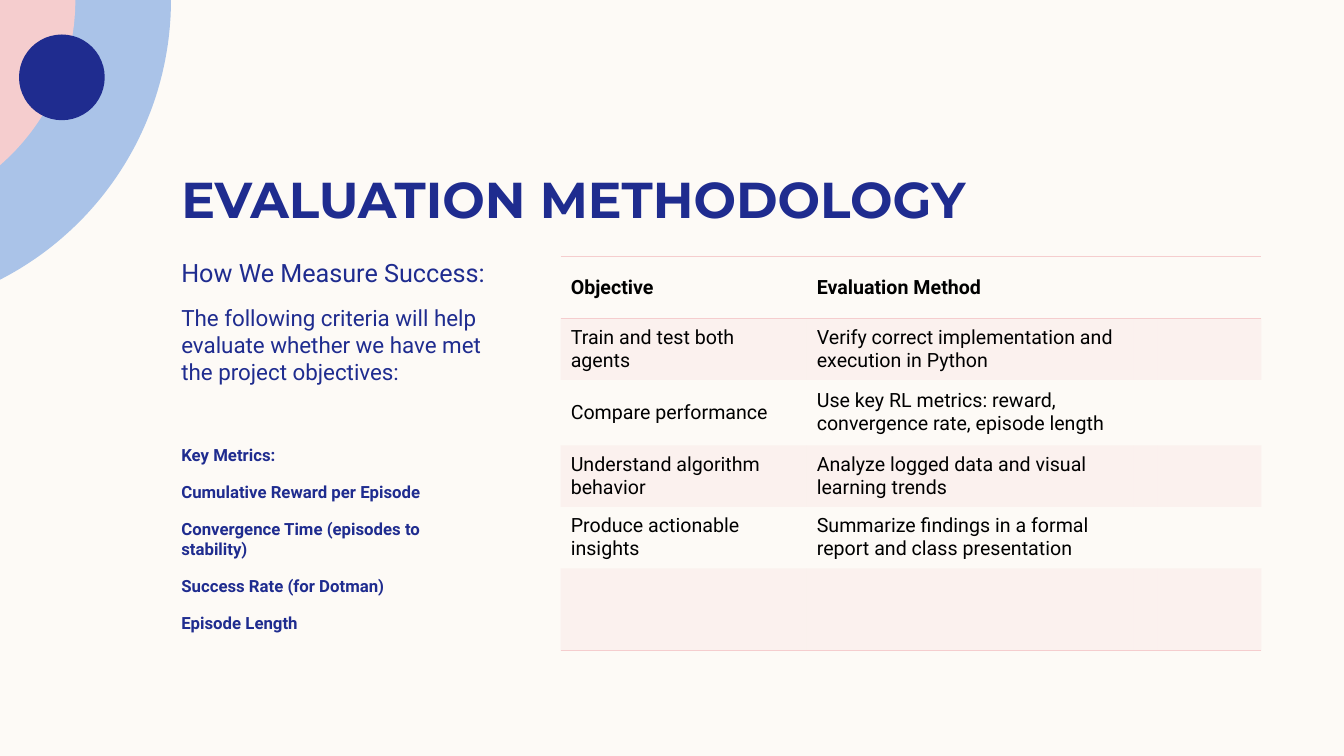
import math

from lxml import etree
from pptx import Presentation
from pptx.dml.color import RGBColor
from pptx.enum import shapes, text
from pptx.oxml import ns
from pptx.util import Cm, Pt

CREAM = RGBColor(0xFD, 0xFA, 0xF6)
NAVY = RGBColor(0x1F, 0x2C, 0x8F)
BLUE = RGBColor(0xAA, 0xC3, 0xE8)
PINK = RGBColor(0xF5, 0xCD, 0xCE)
BLACK = RGBColor(0, 0, 0)

NO_GRID_STYLE = "{2D5ABB26-0587-4C30-8999-92F81FD0307C}"
BAND_OPACITY = 20
COLUMN_WIDTHS = (6.2, 8.23, 0.58, 2.62)
ROW_HEIGHTS = (1.55, 1.55, 1.65, 1.55, 1.55, 2.08)
OBJECTIVES = (
    ("Objective", "Evaluation Method"),
    ("Train and test both agents",
     "Verify correct implementation and execution in Python"),
    ("Compare performance",
     "Use key RL metrics: reward, convergence rate, episode length"),
    ("Understand algorithm behavior",
     "Analyze logged data and visual learning trends"),
    ("Produce actionable insights",
     "Summarize findings in a formal report and class presentation"),
)
# Text, size, bold, space before
CRITERIA = (
    ("How We Measure Success:", 18, False, 0),
    ("The following criteria will help evaluate whether we have met "
     "the project objectives:", 16, False, 0),
    ("Key Metrics:", 12, True, 30.75),
    ("Cumulative Reward per Episode", 12, True, 0),
    ("Convergence Time (episodes to stability)", 12, True, 0),
    ("Success Rate (for Dotman)", 12, True, 0),
    ("Episode Length", 12, True, 0),
)


def set_values(target, values):
    for name, value in values.items():
        setattr(target, name, value)


def write(para, words, size, color, font="Roboto", bold=False):
    span = para.add_run()
    span.text = words
    set_values(span.font, {"name": font, "size": Pt(size), "bold": bold})
    span.font.color.rgb = color


def paint(shape, color):
    shape.shadow.inherit = False
    shape.fill.solid()
    shape.fill.fore_color.rgb = color
    shape.line.fill.background()


def add_corner_rings(page, left, top):
    """Draw two concentric sectors, cut off by the slide edge, and a dot."""
    center = left - Cm(3.61)
    for radius, color in ((Cm(7.92), BLUE), (Cm(5.51), PINK)):
        sweep = math.acos((left - center) / radius)
        angles = [sweep * step / 60 for step in range(61)]
        outline = page.shapes.build_freeform(left, top)
        outline.add_line_segments(
            [(round(center + radius * math.cos(angle)),
              round(top + radius * math.sin(angle))) for angle in angles])
        paint(outline.convert_to_shape(), color)
    dot = page.shapes.add_shape(shapes.MSO_SHAPE.OVAL, left + Cm(0.48),
                                top + Cm(0.87), Cm(2.16), Cm(2.16))
    paint(dot, NAVY)


def set_frame(frame, anchor):
    set_values(frame, {
        "word_wrap": True, "auto_size": text.MSO_AUTO_SIZE.NONE,
        "vertical_anchor": anchor, "margin_left": Cm(0.25),
        "margin_right": Cm(0.25), "margin_top": 0, "margin_bottom": 0})


def add_title(page, left, top, width, height):
    title = page.shapes.title
    set_values(title, {"left": left, "top": top,
                       "width": width, "height": height})
    set_frame(title.text_frame, text.MSO_ANCHOR.BOTTOM)
    para = title.text_frame.paragraphs[0]
    para.alignment = text.PP_ALIGN.LEFT
    write(para, "EVALUATION METHODOLOGY", 36, NAVY, "Montserrat", True)


def add_criteria(page, left, top, width, height):
    frame = page.shapes.add_textbox(left, top, width, height).text_frame
    set_frame(frame, text.MSO_ANCHOR.TOP)
    for index, (words, size, bold, before) in enumerate(CRITERIA):
        para = frame.add_paragraph() if index else frame.paragraphs[0]
        set_values(para, {"space_before": Pt(before), "space_after": Pt(12)})
        write(para, words, size, NAVY, bold=bold)


def add_border(cell, side):
    line = etree.SubElement(cell._tc.get_or_add_tcPr(), ns.qn(f"a:{side}"),
                            w=str(Pt(1)))
    fill = etree.SubElement(line, ns.qn("a:solidFill"))
    etree.SubElement(fill, ns.qn("a:srgbClr"), val=str(PINK))


def fill_band(cell):
    cell.fill.solid()
    cell.fill.fore_color.rgb = PINK
    color = cell._tc.tcPr.find(ns.qn("a:solidFill")).find(ns.qn("a:srgbClr"))
    etree.SubElement(color, ns.qn("a:alpha"), val=str(BAND_OPACITY * 1000))


def add_objectives(page, left, top, width, height):
    last = len(ROW_HEIGHTS) - 1
    table = page.shapes.add_table(len(ROW_HEIGHTS), len(COLUMN_WIDTHS),
                                  left, top, width, height).table
    set_values(table, {"first_row": False, "horz_banding": False})
    table._tbl.tblPr.find(ns.qn("a:tableStyleId")).text = NO_GRID_STYLE
    for column, size in zip(table.columns, COLUMN_WIDTHS):
        column.width = Cm(size)
    for index, (row, size) in enumerate(zip(table.rows, ROW_HEIGHTS)):
        row.height = Cm(size)
        for cell in row.cells:
            cell.vertical_anchor = text.MSO_ANCHOR.MIDDLE
            if index == 0:
                add_border(cell, "lnT")
            if index in (0, last):
                add_border(cell, "lnB")
            if index % 2:
                fill_band(cell)
            else:
                cell.fill.background()
    for index, entries in enumerate(OBJECTIVES):
        for column, words in enumerate(entries):
            para = table.cell(index, column).text_frame.paragraphs[0]
            write(para, words, 14, BLACK, bold=index == 0)


def main():
    deck = Presentation()
    set_values(deck, {"slide_width": Cm(33.87), "slide_height": Cm(19.05)})
    page = deck.slides.add_slide(deck.slide_layouts.get_by_name("Title Only"))
    page.background.fill.solid()
    page.background.fill.fore_color.rgb = CREAM
    add_corner_rings(page, Cm(0), Cm(0))
    add_title(page, Cm(4.32), Cm(3.04), Cm(27.43), Cm(2.72))
    add_criteria(page, Cm(4.32), Cm(6.48), Cm(8.26), Cm(10.29))
    add_objectives(page, Cm(14.13), Cm(6.47), Cm(17.63), Cm(9.93))
    deck.save("out.pptx")


if __name__ == "__main__":
    main()
